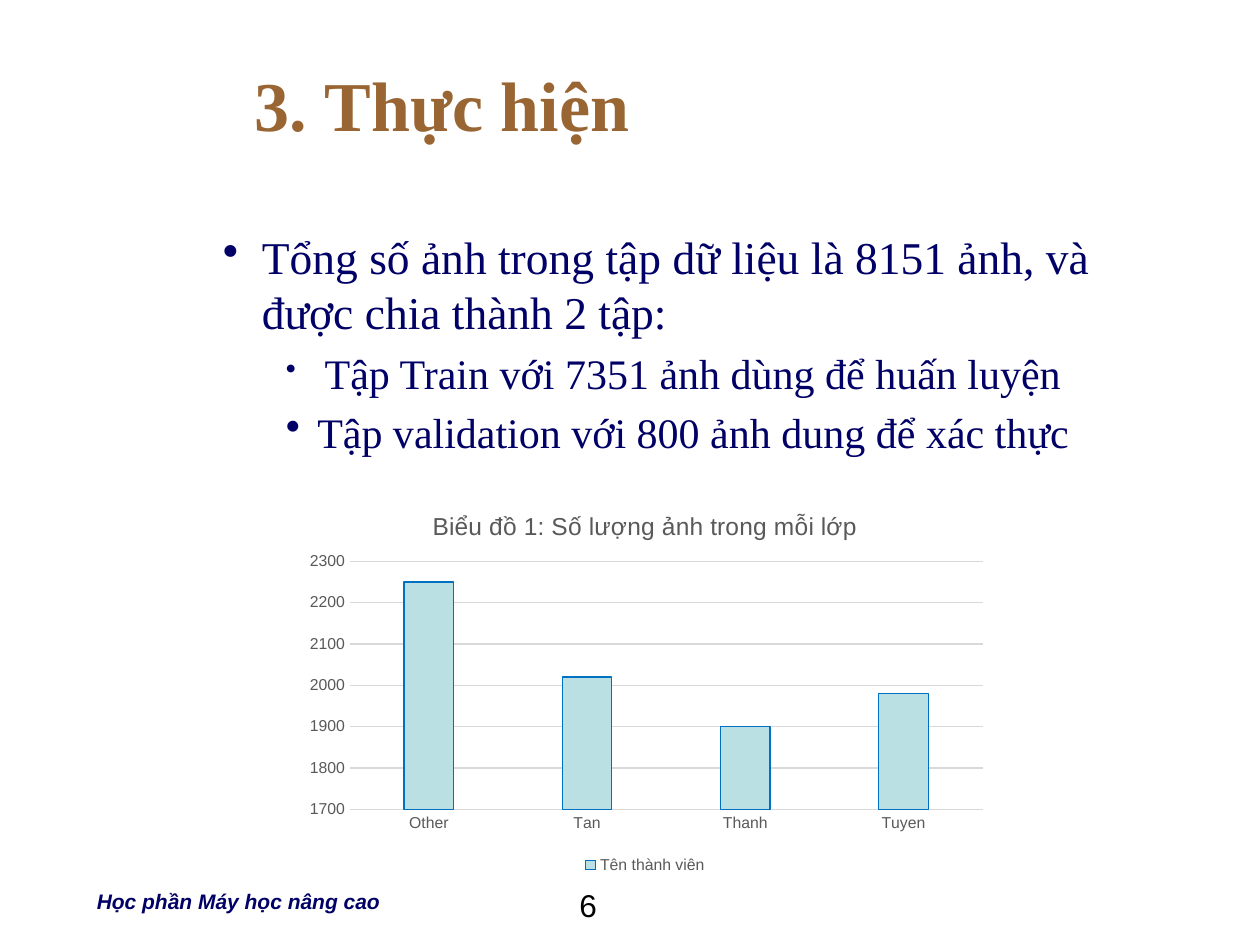
from dataclasses import dataclass

from lxml import etree
from pptx import Presentation
from pptx.chart.data import CategoryChartData
from pptx.dml.color import RGBColor
from pptx.enum.chart import XL_CHART_TYPE, XL_LEGEND_POSITION, XL_TICK_MARK
from pptx.enum.text import MSO_ANCHOR
from pptx.oxml.ns import qn
from pptx.util import Inches, Pt

COLUMN = XL_CHART_TYPE.COLUMN_CLUSTERED
BOTTOM = XL_LEGEND_POSITION.BOTTOM
NO_TICK = XL_TICK_MARK.NONE
MIDDLE = MSO_ANCHOR.MIDDLE
TOP = MSO_ANCHOR.TOP


@dataclass(frozen=True)
class Theme:
    serif: str = "Times New Roman"
    sans: str = "Arial"
    navy: str = "000066"
    brown: str = "996633"
    black: str = "000000"
    gray: str = "595959"
    rule: str = "D9D9D9"
    fill: str = "BBE0E3"
    edge: str = "0070C0"
    white: str = "FFFFFF"
    head: int = 40
    lead: int = 26
    item: int = 24
    gap: int = 17
    page: int = 18
    foot: int = 12
    name: int = 14
    tick: int = 9
    line: float = 0.75


THEME = Theme()


def style(font, face, size, color, bold=False, italic=False):
    font.name = face
    font.size = Pt(size)
    font.color.rgb = RGBColor.from_string(color)
    font.bold = bold
    font.italic = italic


def add_box(slide, left, top, width, height, anchor=TOP):
    box = slide.shapes.add_textbox(
        Inches(left), Inches(top), Inches(width), Inches(height))
    frame = box.text_frame
    frame.word_wrap = True
    frame.vertical_anchor = anchor
    return frame


def add_run(para, text, *look, **flags):
    run = para.add_run()
    run.text = text
    style(run.font, *look, **flags)


def add_mark(para, left, hang, tag, **attrs):
    props = para._p.get_or_add_pPr()
    props.set("marL", str(Inches(left)))
    props.set("indent", str(-Inches(hang)))
    mark = etree.SubElement(props, qn(tag))
    for key, value in attrs.items():
        mark.set(key, value)


def add_title(slide):
    para = add_box(slide, 1.92, 0.31, 7.75, 1.03, MIDDLE).paragraphs[0]
    add_mark(para, 0.56, 0.56, "a:buAutoNum", type="arabicPeriod", startAt="3")
    add_run(para, "Thực hiện", THEME.serif, THEME.head, THEME.brown, bold=True)


def add_list(slide):
    lead, item, gap = THEME.lead, THEME.item, THEME.gap
    rows = [
        (1, 0.81, 0.31, [("Tổng số ảnh trong tập dữ liệu là 8151 ảnh, và "
                          "được chia thành 2 tập:", lead)]),
        (2, 1.25, 0.25, [(" ", gap),
                         ("Tập Train với 7351 ảnh dùng để huấn luyện", item)]),
        (2, 1.25, 0.25, [("Tập validation với 800 ảnh dung để xác thực", item)]),
    ]
    frame = add_box(slide, 1.17, 1.77, 8, 5.13)
    for spot, (level, left, hang, runs) in enumerate(rows):
        para = frame.add_paragraph() if spot else frame.paragraphs[0]
        para.level = level
        para.space_before = Pt(5)
        add_mark(para, left, hang, "a:buChar", char="•")
        for text, size in runs:
            add_run(para, text, THEME.serif, size, THEME.navy)


def add_footer(slide):
    para = add_box(slide, 0.67, 7, 3.83, 0.3).paragraphs[0]
    add_run(para, "Học phần Máy học nâng cao", THEME.sans, THEME.foot,
            THEME.navy, bold=True, italic=True)
    para = add_box(slide, 4.5, 6.98, 0.42, 0.4).paragraphs[0]
    add_run(para, "6", THEME.sans, THEME.page, THEME.black)


def set_line(line, color):
    line.color.rgb = RGBColor.from_string(color)
    line.width = Pt(THEME.line)


def place_plot(chart, **parts):
    area = chart._chartSpace.chart.plotArea
    for old in area.findall(qn("c:layout")):
        area.remove(old)
    layout = etree.Element(qn("c:layout"))
    manual = etree.SubElement(layout, qn("c:manualLayout"))
    modes = {"layoutTarget": "inner", "xMode": "edge", "yMode": "edge"}
    for key, value in {**modes, **parts}.items():
        etree.SubElement(manual, qn("c:" + key)).set("val", str(value))
    area.insert(0, layout)


def add_bars(slide):
    data = CategoryChartData()
    data.categories = ["Other", "Tan", "Thanh", "Tuyen"]
    data.add_series("Tên thành viên", [2250, 2020, 1900, 1980])
    chart = slide.shapes.add_chart(
        COLUMN, Inches(2.33), Inches(3.9), Inches(5.58), Inches(3.08), data).chart
    small = (THEME.sans, THEME.tick, THEME.gray)
    style(chart.font, *small)

    chart.has_title = True
    para = chart.chart_title.text_frame.paragraphs[0]
    add_run(para, "Biểu đồ 1: Số lượng ảnh trong mỗi lớp",
            THEME.sans, THEME.name, THEME.gray)
    chart.chart_title.include_in_layout = False

    chart.has_legend = True
    chart.legend.position = BOTTOM
    chart.legend.include_in_layout = False
    style(chart.legend.font, *small)

    for axis in (chart.category_axis, chart.value_axis):
        axis.major_tick_mark = NO_TICK
        axis.minor_tick_mark = NO_TICK
        style(axis.tick_labels.font, *small)
    set_line(chart.category_axis.format.line, THEME.rule)
    scale = chart.value_axis
    scale.minimum_scale = 1700
    scale.maximum_scale = 2300
    scale.major_unit = 100
    scale.format.line.fill.background()
    set_line(scale.major_gridlines.format.line, THEME.rule)

    plot = chart.plots[0]
    plot.vary_by_categories = False
    plot.gap_width = 219
    plot.overlap = -27
    bars = plot.series[0].format
    bars.fill.solid()
    bars.fill.fore_color.rgb = RGBColor.from_string(THEME.fill)
    set_line(bars.line, THEME.edge)
    place_plot(chart, x=0.08, y=0.18, w=0.9, h=0.64)


def main():
    deck = Presentation()
    deck.slide_width = Inches(10)
    deck.slide_height = Inches(7.5)
    slide = deck.slides.add_slide(deck.slide_layouts[6])
    back = slide.background.fill
    back.solid()
    back.fore_color.rgb = RGBColor.from_string(THEME.white)
    add_list(slide)
    add_footer(slide)
    add_bars(slide)
    add_title(slide)
    deck.save("out.pptx")


if __name__ == "__main__":
    main()
